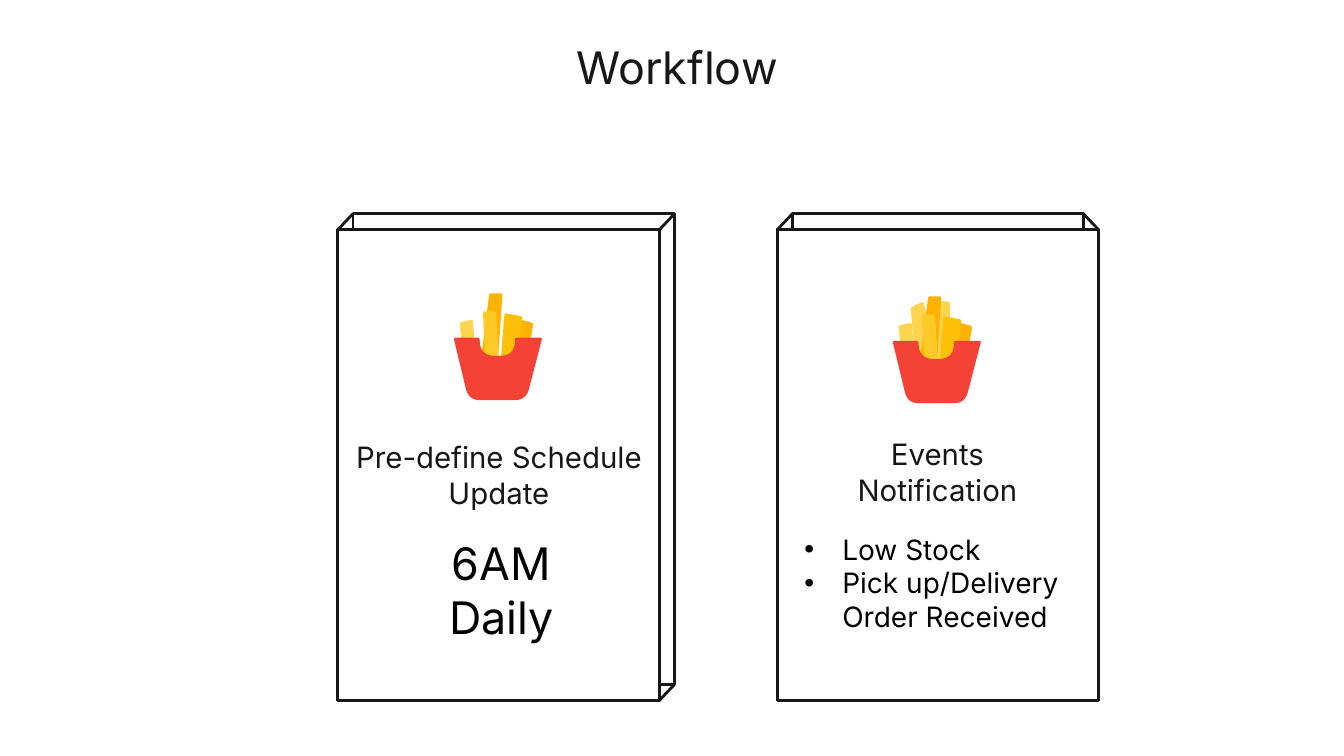
import pptx
import pptx.util
from pptx.dml.color import RGBColor
from pptx.enum.shapes import MSO_CONNECTOR, MSO_SHAPE
from pptx.enum.text import MSO_ANCHOR, MSO_AUTO_SIZE, PP_ALIGN
from pptx.oxml.ns import qn
from pptx.util import Pt

FONT = "Inter"
COLORS = {
    "white": "FFFFFF", "ink": "181717", "black": "000000", "carton": "F44336",
    "pale": "FFD54F", "gold": "FFCA28", "amber": "FFC107", "orange": "FFB300",
}

# wording, (left, top, width, height), size, colour, wraps
TITLE = ("Workflow", (77, 24.5, 813.6, 46), 32, "ink", True)
BULLETS = ("Low Stock\nPick up/Delivery Order Received",
           (567.4, 376.6, 239.8, 80), 20, "black", True)
LABELS = [
    ("Events\nNotification", (600.5, 308.2, 138.2, 58.3), 21, "ink", False),
    ("Pre-define Schedule\nUpdate", (241.2, 310.3, 230.4, 58.3), 21, "ink", False),
    ("6AM\nDaily", (290.9, 379.4, 134.6, 85), 32, "black", True),
]
BULLET_INDENT = 27

# left of the front face, shift of the back face's right side
BOXES = [(241.2, 11), (555.1, -11)]
FRONT_TOP, FRONT_WIDTH, FRONT_HEIGHT = 164.2, 229.7, 336.2
DEPTH_X, DEPTH_Y = 11, 11.6

# corners are measured from the carton's top left; a third value is a radius
FRY_RADIUS = 1.6
SIDE_FRIES = [
    ("orange", [(47.5, -13), (57, -10.4), (54.7, 3.6), (45.4, 3.6)]),
    ("pale", [(4.3, -10.8), (13.7, -13), (15.1, 3.6), (5.8, 3.6)]),
]
EXTRA_FRIES = [
    ("pale", [(13, -23.8), (22, -28.1), (25.2, -15.1), (30.2, 12.2), (16.6, 18.7)]),
    ("pale", [(31.7, -28.1), (41, -28.1), (41, -17.3), (38.9, 16.6), (27.7, 16.6)]),
]
FRONT_PARTS = [
    ("amber", [(36.4, -17.6), (49.3, -15.1), (46.1, 9.4), (44.6, 16.6), (33.8, 15.1)]),
    ("orange", [(25.6, -31.7), (35, -31.7), (31.7, 16.2), (19.8, 13.3)]),
    ("gold", [(20.9, -18.7), (30.2, -18.7), (32.4, 16.2), (22.7, 14)]),
    ("carton", [(0, 0), (18.7, 0), (18.7, 13, 11), (43.9, 13, 11), (43.9, 0),
                (63.4, 0), (51.8, 44.6, 8), (10.8, 44.6, 8)]),
]
PORTIONS = [
    ((324, 241.2), SIDE_FRIES + FRONT_PARTS),
    ((637.5, 243.4), SIDE_FRIES + EXTRA_FRIES + FRONT_PARTS),
]


def color(name):
    return RGBColor.from_string(COLORS[name])


def add_face(page, left, top, width):
    face = page.shapes.add_shape(MSO_SHAPE.RECTANGLE, Pt(left), Pt(top),
                                 Pt(width), Pt(FRONT_HEIGHT))
    face.shadow.inherit = False
    face.fill.solid()
    face.fill.fore_color.rgb = color("white")
    face.line.color.rgb = color("ink")
    face.line.width = Pt(2)


def add_box(page, left, shift):
    right = left + FRONT_WIDTH
    back_left, back_right = left + DEPTH_X, right + shift
    add_face(page, back_left, FRONT_TOP - DEPTH_Y, back_right - back_left)
    add_face(page, left, FRONT_TOP, FRONT_WIDTH)
    edges = [(back_left, left, FRONT_TOP), (back_right, right, FRONT_TOP)]
    if shift > 0:
        edges.append((back_right, right, FRONT_TOP + FRONT_HEIGHT))
    for back_x, front_x, front_y in edges:
        edge = page.shapes.add_connector(
            MSO_CONNECTOR.STRAIGHT, Pt(back_x), Pt(front_y - DEPTH_Y),
            Pt(front_x), Pt(front_y))
        edge.line.color.rgb = color("ink")
        edge.line.width = Pt(2)
        edge._element.spPr.append(
            edge._element.makeelement(qn("a:effectLst"), {}))


def rounded(corners, steps=8):
    """Replace each corner by points on a quadratic curve."""
    points = []
    for i, (x, y, *radius) in enumerate(corners):
        reach = radius[0] if radius else FRY_RADIUS
        ends = []
        for near in (corners[i - 1], corners[(i + 1) % len(corners)]):
            dx, dy = near[0] - x, near[1] - y
            part = reach / (dx * dx + dy * dy) ** 0.5
            ends.append((x + dx * part, y + dy * part))
        (ax, ay), (bx, by) = ends
        for step in range(steps + 1):
            t = step / steps
            a, c, b = (1 - t) ** 2, 2 * t * (1 - t), t * t
            points.append((a * ax + c * x + b * bx, a * ay + c * y + b * by))
    return points


def add_portion(page, origin, parts):
    for fill, corners in parts:
        points = [(Pt(origin[0] + x), Pt(origin[1] + y)) for x, y in rounded(corners)]
        builder = page.shapes.build_freeform(*points[0])
        builder.add_line_segments(points[1:], close=True)
        piece = builder.convert_to_shape()
        piece.shadow.inherit = False
        piece.fill.solid()
        piece.fill.fore_color.rgb = color(fill)
        piece.line.fill.background()


def write(box, content, align):
    wording, place, size, ink, wraps = content
    box.left, box.top, box.width, box.height = map(Pt, place)
    frame = box.text_frame
    frame.text = wording
    frame.word_wrap = wraps
    frame.auto_size = MSO_AUTO_SIZE.NONE
    frame.vertical_anchor = MSO_ANCHOR.TOP
    for para in frame.paragraphs:
        para.alignment = align
        para.space_before = Pt(0)
        for span in para.runs:
            span.font.name = FONT
            span.font.size = Pt(size)
            span.font.color.rgb = color(ink)


def main():
    deck = pptx.Presentation()
    deck.slide_width, deck.slide_height = Pt(960), Pt(540)
    page = deck.slides.add_slide(deck.slide_layouts[1])
    for left, shift in BOXES:
        add_box(page, left, shift)
    for origin, parts in PORTIONS:
        add_portion(page, origin, parts)
    for label in LABELS:
        box = page.shapes.add_textbox(*map(Pt, label[1]))
        write(box, label, PP_ALIGN.CENTER)
    title, body = page.shapes.title, page.placeholders[1]
    write(title, TITLE, PP_ALIGN.CENTER)
    write(body, BULLETS, PP_ALIGN.LEFT)
    for para in body.text_frame.paragraphs:
        props = para._p.get_or_add_pPr()
        props.set("marL", str(Pt(BULLET_INDENT)))
        props.set("indent", str(-Pt(BULLET_INDENT)))
        bullet = props.makeelement(qn("a:buChar"), {"char": "•"})
        props.append(bullet)
    for holder in (title, body):  # text stays in front of the boxes
        page.shapes._spTree.append(holder._element)
    deck.save("out.pptx")


if __name__ == "__main__":
    main()
